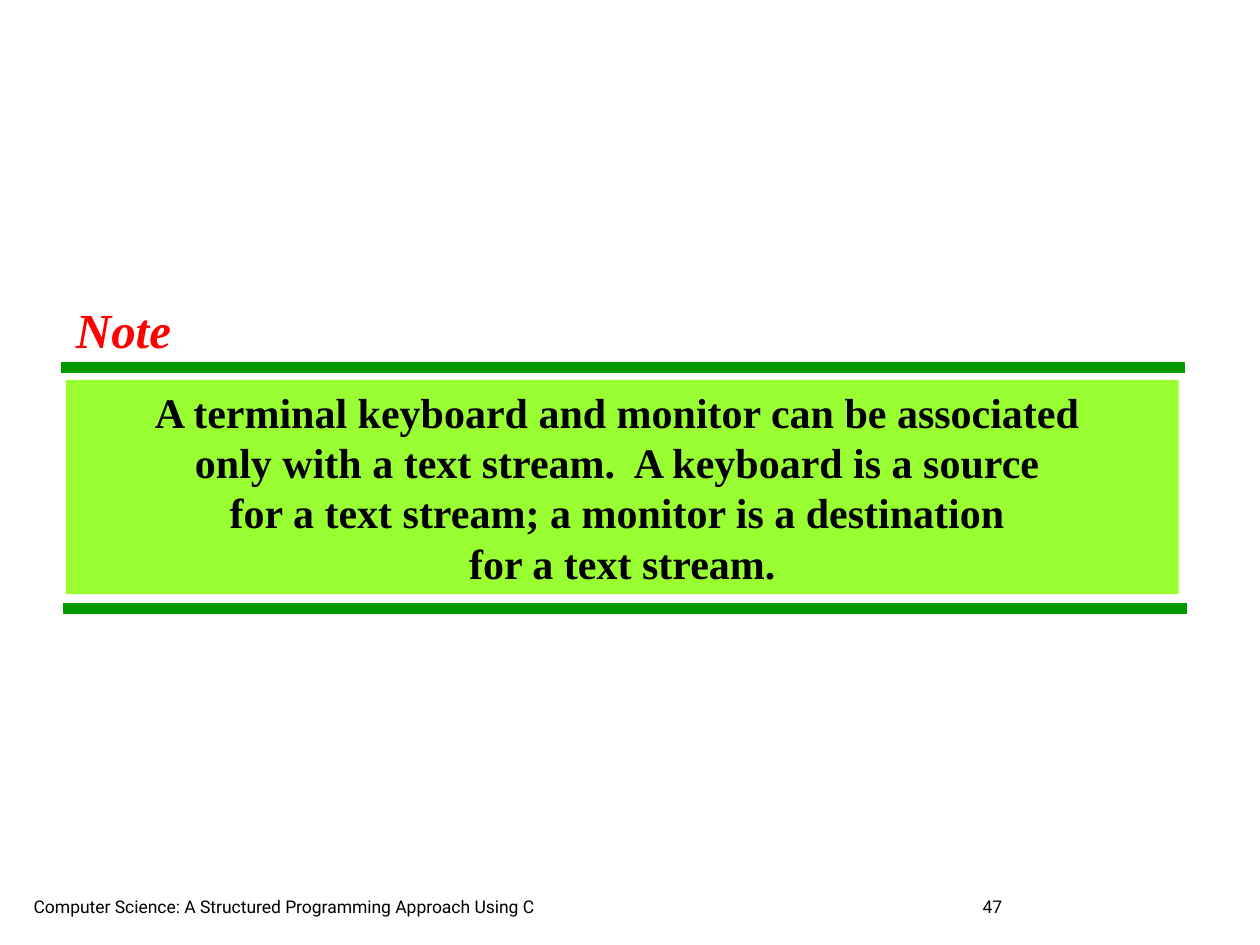
from pptx import Presentation
from pptx.dml.color import RGBColor
from pptx.enum.shapes import MSO_CONNECTOR, MSO_SHAPE
from pptx.enum.text import MSO_ANCHOR, PP_ALIGN
from pptx.oxml.ns import qn
from pptx.util import Cm, Pt
from lxml import etree

STRAIGHT = MSO_CONNECTOR.STRAIGHT
RECTANGLE = MSO_SHAPE.RECTANGLE
TOP, BOTTOM = MSO_ANCHOR.TOP, MSO_ANCHOR.BOTTOM
LEFT, CENTER = PP_ALIGN.LEFT, PP_ALIGN.CENTER

FOOTER_FORMAT = {"name": "Roboto", "size": Pt(10)}
STATEMENT_FORMAT = {"name": "Times New Roman", "size": Pt(24), "bold": True}
HEADING_FORMAT = {"name": "Times New Roman", "size": Pt(28),
                  "bold": True, "italic": True}

# A newline inside an entry is a line break within its paragraph
STATEMENT = [
    "A terminal keyboard and monitor can be associated \n"
    "only with a text stream.  A keyboard is a source ",
    "for a text stream; a monitor is a destination ",
    "for a text stream.",
]


def color(hex_value):
    return RGBColor.from_string(hex_value)


def write(frame, paragraphs, text_format, ink="000000", align=LEFT,
          anchor=TOP, wrap=True):
    frame.word_wrap = wrap
    frame.vertical_anchor = anchor
    for index, text in enumerate(paragraphs):
        paragraph = frame.add_paragraph() if index else frame.paragraphs[0]
        paragraph.text = text
        paragraph.alignment = align
        for run in paragraph.runs:
            for attribute, value in text_format.items():
                setattr(run.font, attribute, value)
            run.font.color.rgb = color(ink)


def add_label(slide, box, text, text_format, **options):
    label = slide.shapes.add_textbox(*map(Cm, box))
    write(label.text_frame, [text], text_format, **options)


def add_rule(slide, left, y, width):
    rule = slide.shapes.add_connector(
        STRAIGHT, Cm(left), Cm(y), Cm(left + width), Cm(y))
    rule.line.color.rgb = color("009900")
    rule.line.width = Pt(6)
    etree.SubElement(rule._element.spPr, qn("a:effectLst"))


def add_panel(slide, box, paragraphs):
    panel = slide.shapes.add_shape(RECTANGLE, *map(Cm, box))
    panel.shadow.inherit = False
    panel.fill.solid()
    panel.fill.fore_color.rgb = color("99FF33")
    panel.line.fill.background()
    write(panel.text_frame, paragraphs, STATEMENT_FORMAT, align=CENTER)


def main():
    deck = Presentation()
    deck.slide_width, deck.slide_height = Cm(25.4), Cm(19.05)
    slide = deck.slides.add_slide(deck.slide_layouts[6])

    # Footer: book title and page number
    footer_top, footer_height = 17.35, 1.27
    for left, width, text in (
        (0.43, 14.4, "Computer Science: A Structured Programming Approach Using C"),
        (19.56, 5.28, "47"),
    ):
        add_label(slide, (left, footer_top, width, footer_height), text,
                  FOOTER_FORMAT, anchor=BOTTOM)

    # Note: statement between two rules, under its heading
    add_rule(slide, 1.22, 7.41, 22.66)
    add_panel(slide, (1.33, 7.66, 22.43, 4.32), STATEMENT)
    add_label(slide, (1.27, 5.92, 2.44, 1.45), "Note", HEADING_FORMAT,
              ink="FF0000", align=CENTER, wrap=False)
    add_rule(slide, 1.27, 12.27, 22.66)

    deck.save("out.pptx")


if __name__ == "__main__":
    main()
